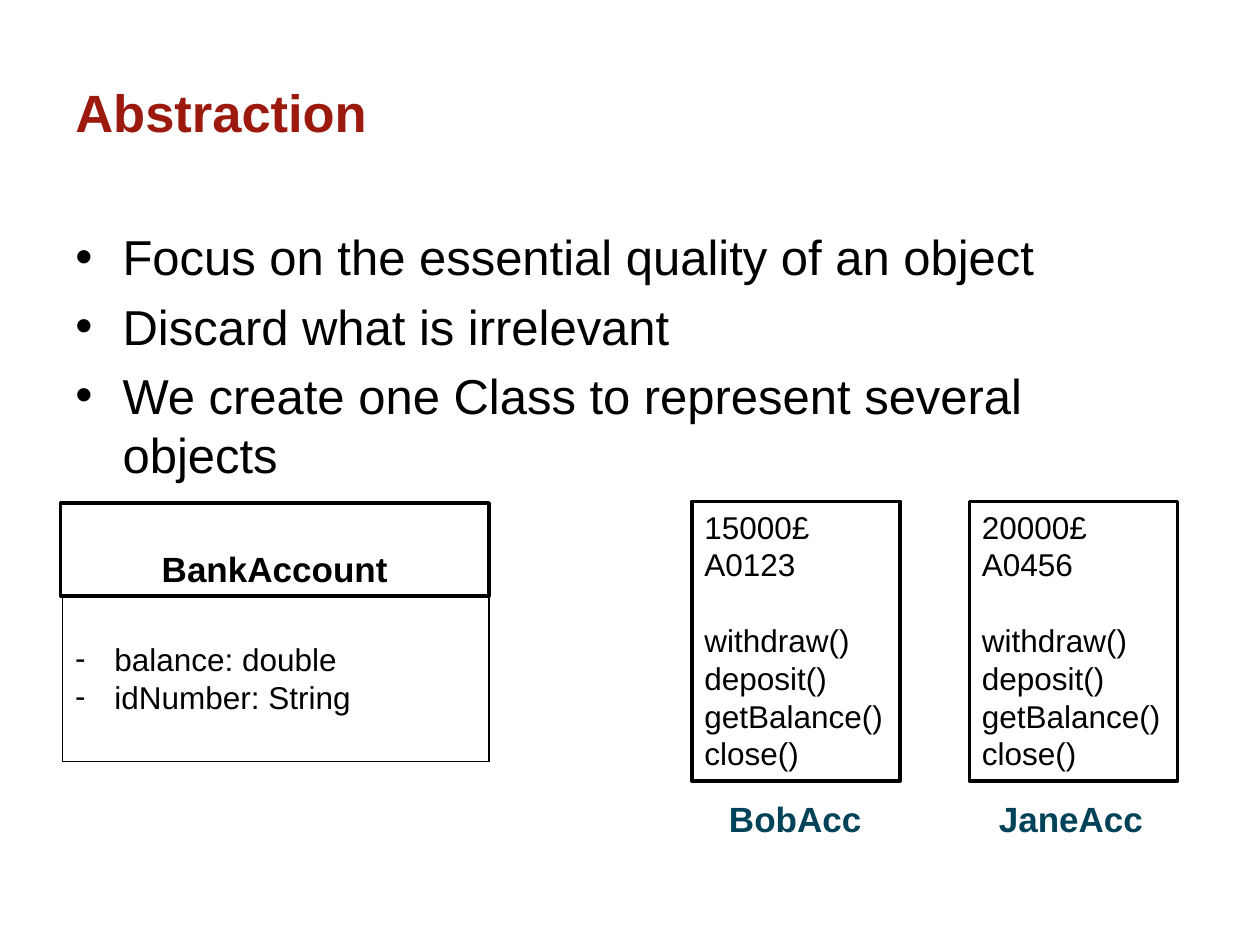
from lxml import etree
from pptx import Presentation
from pptx.dml.color import RGBColor
from pptx.enum.shapes import MSO_SHAPE
from pptx.enum.text import MSO_ANCHOR, PP_ALIGN
from pptx.oxml.ns import qn
from pptx.util import Pt

RECTANGLE = MSO_SHAPE.RECTANGLE
TOP, BOTTOM = MSO_ANCHOR.TOP, MSO_ANCHOR.BOTTOM
LEFT, CENTER = PP_ALIGN.LEFT, PP_ALIGN.CENTER
FONT = "Arial"
BLACK, WHITE, RED, TEAL = "000000", "FFFFFF", "9C190D", "004359"
BLANK_LINE = 21.6
METHODS = ["withdraw()", "deposit()", "getBalance()", "close()"]


def color(value):
    """Turn a hex string into a colour."""
    return RGBColor.from_string(value)


def add_bullet(paragraph, character, indent):
    """Give a paragraph a bullet with a hanging indent in points."""
    properties = paragraph._p.get_or_add_pPr()
    properties.set("marL", str(Pt(indent)))
    properties.set("indent", str(-Pt(indent)))
    bullet_font = etree.SubElement(properties, qn("a:buFont"))
    bullet_font.set("typeface", FONT)
    etree.SubElement(properties, qn("a:buChar")).set("char", character)


def write_lines(shape, lines, size, hex_color=BLACK, bold=False, align=LEFT,
                bullet=None, indent=0, gap=0, wrap=True, anchor=TOP):
    """Write one paragraph per line and return the paragraphs."""
    frame = shape.text_frame
    frame.word_wrap = wrap
    frame.vertical_anchor = anchor
    frame.text = "\n".join(lines)
    for index, paragraph in enumerate(frame.paragraphs):
        if bullet:
            add_bullet(paragraph, bullet, indent)
        paragraph.alignment = align
        if gap and index:
            paragraph.space_before = Pt(gap)
        paragraph.font.name = FONT
        paragraph.font.size = Pt(size)
        paragraph.font.bold = bold
        paragraph.font.color.rgb = color(hex_color)
    return frame.paragraphs


def add_text(slide, left, top, width, height, lines, size, **style):
    """Add a text box."""
    box = slide.shapes.add_textbox(Pt(left), Pt(top), Pt(width), Pt(height))
    write_lines(box, lines, size, **style)


def add_box(slide, left, top, width, height, line_width, fill=None):
    """Add an outlined rectangle."""
    box = slide.shapes.add_shape(RECTANGLE, Pt(left), Pt(top), Pt(width), Pt(height))
    box.shadow.inherit = False
    if fill:
        box.fill.solid()
        box.fill.fore_color.rgb = color(fill)
    else:
        box.fill.background()
    box.line.color.rgb = color(BLACK)
    box.line.width = Pt(line_width)
    return box


def add_class_diagram(slide, name, fields):
    """Add a class name box with its field list below."""
    header = add_box(slide, 34.6, 287.5, 244.8, 53, 2.25)
    write_lines(header, [name], 20, bold=True, align=CENTER, anchor=BOTTOM)
    body = add_box(slide, 35.8, 340.5, 243.6, 94.5, 0.75)
    body.text_frame.margin_top = Pt(3.6 + BLANK_LINE)
    write_lines(body, fields, 18, bullet="-", indent=22.5)


def add_account(slide, left, values, name, name_left, name_width):
    """Add an object box with its values and methods, and its name below."""
    box = add_box(slide, left, 286.5, 118.8, 160, 2, WHITE)
    paragraphs = write_lines(box, values + METHODS, 18, wrap=False)
    paragraphs[len(values) - 1].space_after = Pt(BLANK_LINE)
    add_text(slide, name_left, 452.2, name_width, 31.5, [name], 20,
             hex_color=TEAL, bold=True, wrap=False)


def main():
    """Build the slide and save it."""
    presentation = Presentation()
    presentation.slide_width, presentation.slide_height = Pt(720), Pt(540)
    slide = presentation.slides.add_slide(presentation.slide_layouts[6])
    add_text(slide, 36, 42, 648, 78, ["Abstraction"], 30, hex_color=RED, bold=True)
    add_text(slide, 36, 126, 648, 384, [
        "Focus on the essential quality of an object",
        "Discard what is irrelevant",
        "We create one Class to represent several objects",
    ], 28, bullet="•", indent=27, gap=6)
    add_account(slide, 395.4, ["15000£", "A0123"], "BobAcc", 409.5, 90.7)
    add_account(slide, 554, ["20000£", "A0456"], "JaneAcc", 563.7, 97.9)
    add_class_diagram(slide, "BankAccount", ["balance: double", "idNumber: String"])
    presentation.save("out.pptx")


if __name__ == "__main__":
    main()
